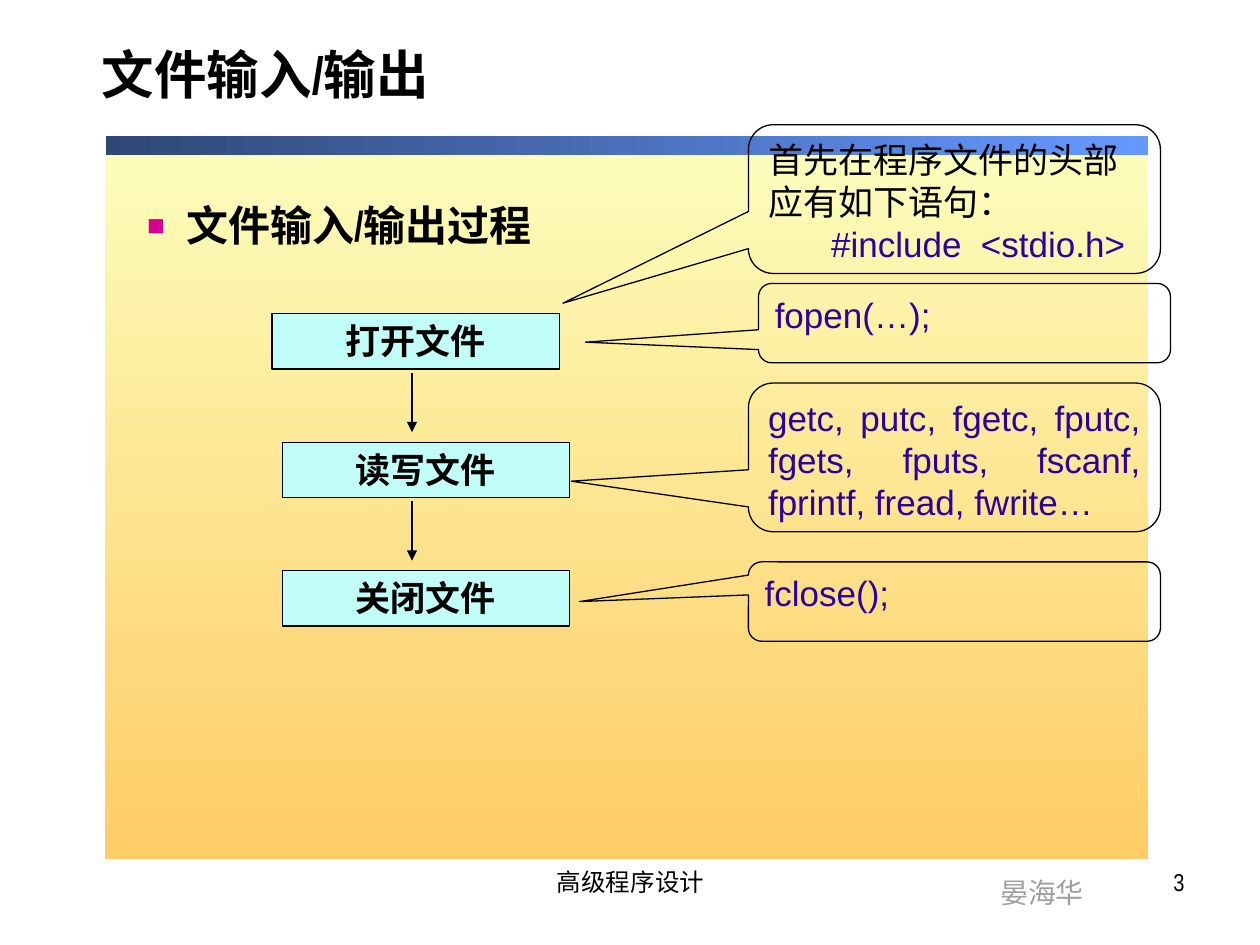
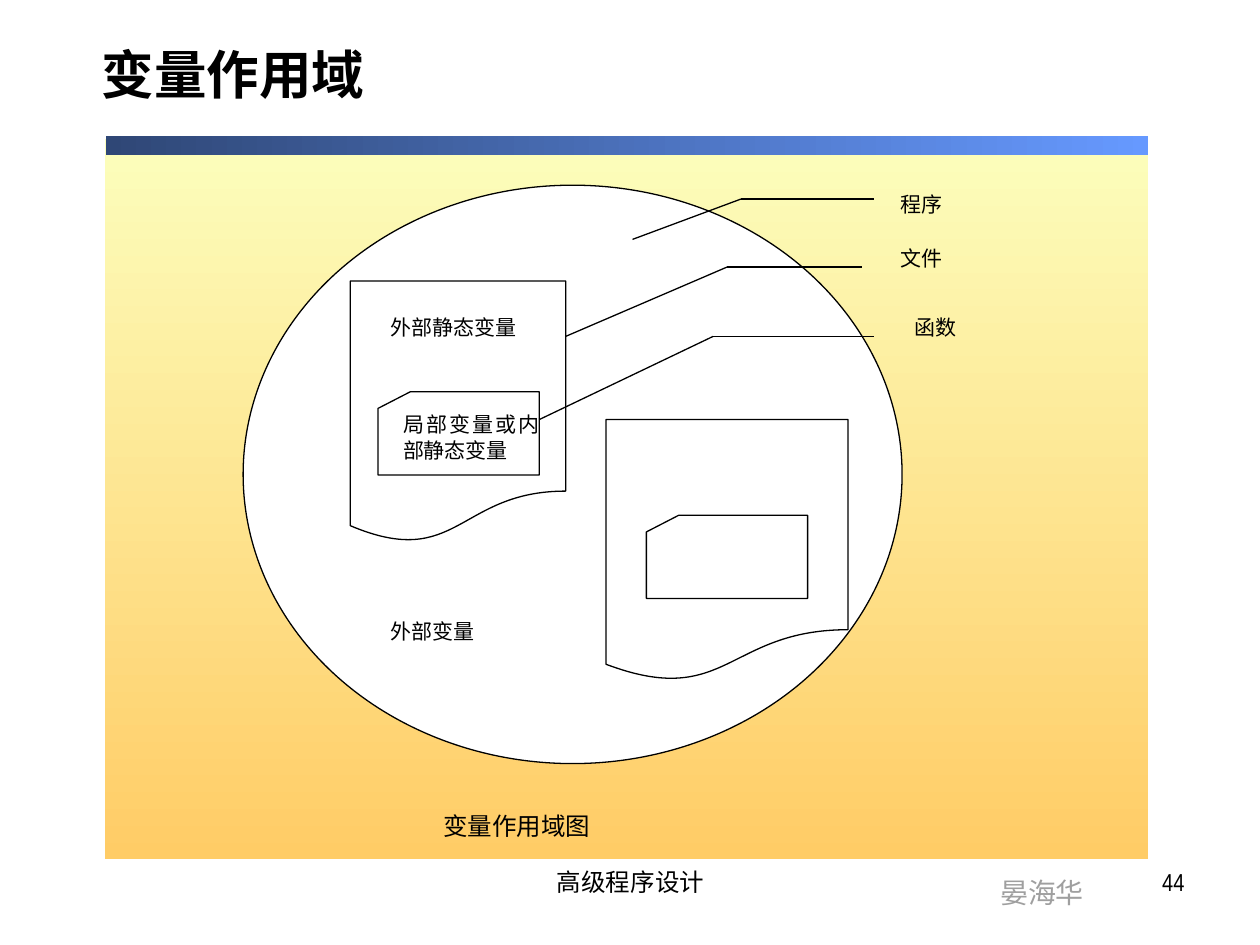
from dataclasses import dataclass

import lxml.etree
import pptx
import pptx.dml.color
import pptx.dml.fill
import pptx.enum.shapes
import pptx.enum.text
import pptx.oxml.ns
import pptx.shapes.autoshape
import pptx.slide
import pptx.text.text
import pptx.util

Inches = pptx.util.Inches
RGBColor = pptx.dml.color.RGBColor
Align = pptx.enum.text.PP_ALIGN
Anchor = pptx.enum.text.MSO_ANCHOR
Preset = pptx.enum.shapes.MSO_SHAPE
qn = pptx.oxml.ns.qn

BLACK = RGBColor(0x00, 0x00, 0x00)
WHITE = RGBColor(0xFF, 0xFF, 0xFF)
GRAY = RGBColor(0x9F, 0x9F, 0x9F)
CODE_BLUE = RGBColor(0x2B, 0x02, 0xA0)
STEP_CYAN = RGBColor(0xC1, 0xFE, 0xF9)
BULLET_PINK = RGBColor(0xD6, 0x00, 0x93)
PANEL_TOP = RGBColor(0xFC, 0xFE, 0xBC)
PANEL_BOTTOM = RGBColor(0xFF, 0xCC, 0x66)
BAND_LEFT = RGBColor(0x2F, 0x47, 0x76)
BAND_RIGHT = RGBColor(0x66, 0x99, 0xFF)

OUTLINE = pptx.util.Pt(0.75)


@dataclass(frozen=True)
class Box:
    left: float
    top: float
    width: float
    height: float


@dataclass(frozen=True)
class Style:
    size: float
    font: str
    color: RGBColor = BLACK
    bold: bool = False
    align: Align = Align.LEFT


@dataclass(frozen=True)
class Callout:
    box: Box
    tip_x: float
    tip_y: float
    lines: tuple[str, ...]
    styles: tuple[Style, ...]


@dataclass(frozen=True)
class Outline:
    preset: Preset
    box: Box


@dataclass(frozen=True)
class Label:
    box: Box
    text: str


@dataclass(frozen=True)
class Leader:
    start: tuple[float, float]
    elbow: tuple[float, float]
    end_x: float


TITLE = Style(30, "Arial Narrow", bold=True)
TOPIC = Style(24, "Arial Narrow", bold=True)
COURSE = Style(14, "Arial Narrow", align=Align.CENTER)
PAGE = Style(14, "Arial Narrow", align=Align.RIGHT)
LECTURER = Style(16, "Arial", GRAY)
STEP = Style(20, "Arial", bold=True, align=Align.CENTER)
REMARK = Style(20, "Arial")
CODE = Style(20, "Arial", CODE_BLUE)
CODE_LIST = Style(20, "Arial", CODE_BLUE, align=Align.JUSTIFY)
SCOPE = Style(12, "Times New Roman", align=Align.JUSTIFY)
CAPTION = Style(14, "Times New Roman", align=Align.JUSTIFY)

STEPS = ((2.16, "打开文件"), (2.24, "读写文件"), (2.24, "关闭文件"))
STEP_TOP, STEP_PITCH = 2.49, 1.02
STEP_WIDTH, STEP_HEIGHT = 2.28, 0.44
ARROW_X, ARROW_GAP, ARROW_LENGTH = 3.27, 0.03, 0.47

CALLOUTS = (
    Callout(Box(5.94, 0.99, 3.27, 1.18), -0.95, 0.7,
            ("首先在程序文件的头部应有如下语句：", "#include  <stdio.h>"), (REMARK, CODE)),
    Callout(Box(6.02, 2.25, 3.27, 0.63), -0.92, 0.24, ("fopen(…);",), (CODE,)),
    Callout(Box(5.94, 3.04, 3.27, 1.18), -0.93, 0.16,
            ("getc, putc, fgetc, fputc, fgets, fputs, fscanf, fprintf, fread, fwrite…",),
            (CODE_LIST,)),
    Callout(Box(5.94, 4.46, 3.27, 0.63), -0.91, 0, ("fclose();",), (CODE,)),
)

SCOPE_OUTLINES = (
    Outline(Preset.OVAL, Box(1.93, 1.47, 5.23, 4.59)),
    Outline(Preset.FLOWCHART_DOCUMENT, Box(2.78, 2.23, 1.71, 2.08)),
    Outline(Preset.FLOWCHART_DOCUMENT, Box(4.81, 3.33, 1.92, 2.08)),
    Outline(Preset.FLOWCHART_CARD, Box(5.13, 4.09, 1.28, 0.66)),
    Outline(Preset.FLOWCHART_CARD, Box(3, 3.11, 1.28, 0.66)),
)

SCOPE_LABELS = (
    Label(Box(3, 4.86, 1.17, 0.33), "外部变量"),
    Label(Box(3, 2.45, 1.28, 0.33), "外部静态变量"),
    Label(Box(3.1, 3.22, 1.28, 0.55), "局部变量或内部静态变量"),
    Label(Box(7.05, 1.47, 0.96, 0.33), "程序"),
    Label(Box(7.05, 1.9, 0.96, 0.33), "文件"),
    Label(Box(7.16, 2.45, 0.96, 0.33), "函数"),
)

LEADERS = (
    Leader((5.02, 1.9), (5.88, 1.58), 6.94),
    Leader((4.49, 2.67), (5.77, 2.12), 6.84),
    Leader((4.28, 3.33), (5.66, 2.67), 6.94),
)


def place(box: Box) -> tuple[pptx.util.Length, ...]:
    return Inches(box.left), Inches(box.top), Inches(box.width), Inches(box.height)


def format_paragraph(paragraph: pptx.text.text._Paragraph, style: Style) -> None:
    paragraph.alignment = style.align
    for run in paragraph.runs:
        run.font.size = pptx.util.Pt(style.size)
        run.font.name = style.font
        run.font.bold = style.bold
        run.font.color.rgb = style.color


def add_text(slide: pptx.slide.Slide, box: Box, text: str, style: Style,
             wrap: bool = True) -> pptx.text.text.TextFrame:
    frame = slide.shapes.add_textbox(*place(box)).text_frame
    frame.word_wrap = wrap
    frame.text = text
    format_paragraph(frame.paragraphs[0], style)
    return frame


def add_outline(slide: pptx.slide.Slide, preset: Preset, box: Box,
                fill: RGBColor | None) -> pptx.shapes.autoshape.Shape:
    shape = slide.shapes.add_shape(preset, *place(box))
    shape.shadow.inherit = False
    if fill is None:
        shape.fill.background()
    else:
        shape.fill.solid()
        shape.fill.fore_color.rgb = fill
    shape.line.color.rgb = BLACK
    shape.line.width = OUTLINE
    shape.text_frame.vertical_anchor = Anchor.TOP
    return shape


def add_gradient(slide: pptx.slide.Slide, box: Box, first: RGBColor, last: RGBColor,
                 angle: float) -> None:
    shape = slide.shapes.add_shape(Preset.RECTANGLE, *place(box))
    shape.shadow.inherit = False
    shape.line.fill.background()
    shape.fill.gradient()
    shape.fill.gradient_angle = angle
    for stop, color, position in zip(shape.fill.gradient_stops, (first, last), (0, 1)):
        stop.color.rgb = color
        stop.position = position


def add_line(slide: pptx.slide.Slide, start: tuple[float, float], end: tuple[float, float],
             arrow: bool = False) -> None:
    line = slide.shapes.add_connector(
        pptx.enum.shapes.MSO_CONNECTOR.STRAIGHT,
        *(Inches(value) for value in (*start, *end)))
    line.line.color.rgb = BLACK
    line.line.width = OUTLINE
    properties = line._element.spPr
    if arrow:
        lxml.etree.SubElement(properties.find(qn("a:ln")), qn("a:tailEnd"), type="triangle")
    lxml.etree.SubElement(properties, qn("a:effectLst"))


def add_bullet(paragraph: pptx.text.text._Paragraph) -> None:
    properties = paragraph._p.get_or_add_pPr()
    properties.set("marL", str(Inches(0.31)))
    properties.set("indent", str(Inches(-0.31)))
    color = lxml.etree.SubElement(properties, qn("a:buClr"))
    lxml.etree.SubElement(color, qn("a:srgbClr"), val=str(BULLET_PINK))
    lxml.etree.SubElement(properties, qn("a:buSzPct"), val="70000")
    lxml.etree.SubElement(properties, qn("a:buFont"), typeface="Arial")
    lxml.etree.SubElement(properties, qn("a:buChar"), char="■")


def add_callout(slide: pptx.slide.Slide, callout: Callout) -> None:
    shape = add_outline(slide, Preset.ROUNDED_RECTANGULAR_CALLOUT, callout.box, None)
    shape.adjustments[0] = callout.tip_x
    shape.adjustments[1] = callout.tip_y
    shape.text_frame.text = "\n".join(callout.lines)
    for paragraph, style in zip(shape.text_frame.paragraphs, callout.styles):
        format_paragraph(paragraph, style)
    for paragraph in shape.text_frame.paragraphs[1:]:
        paragraph.level = 1
        paragraph._p.get_or_add_pPr().set("marL", str(Inches(0.5)))


def add_framed_slide(deck, title: str, page: int) -> pptx.slide.Slide:
    slide = deck.slides.add_slide(deck.slide_layouts[6])
    slide.background.fill.solid()
    slide.background.fill.fore_color.rgb = WHITE
    add_gradient(slide, Box(0.83, 1.1, 8.28, 5.72), PANEL_TOP, PANEL_BOTTOM, 270)
    add_gradient(slide, Box(0.84, 1.08, 8.27, 0.15), BAND_LEFT, BAND_RIGHT, 0)
    add_text(slide, Box(7.84, 6.9, 0.87, 0.37), "晏海华", LECTURER, wrap=False)
    add_text(slide, Box(3.42, 6.83, 3.17, 0.52), "高级程序设计", COURSE)
    add_text(slide, Box(7.17, 6.83, 2.33, 0.52), str(page), PAGE)
    heading = add_text(slide, Box(0.71, 0.17, 8.96, 0.92), title, TITLE)
    heading.vertical_anchor = Anchor.MIDDLE
    heading.paragraphs[0].line_spacing = 0.8
    return slide


def build_file_slide(deck) -> None:
    slide = add_framed_slide(deck, "文件输入/输出", 3)
    topic = add_text(slide, Box(1.07, 1.58, 7.77, 4.98), "文件输入/输出过程", TOPIC)
    add_bullet(topic.paragraphs[0])
    topic.paragraphs[0].line_spacing = 0.9
    for index, (left, text) in enumerate(STEPS):
        top = STEP_TOP + index * STEP_PITCH
        step = add_outline(slide, Preset.RECTANGLE,
                           Box(left, top, STEP_WIDTH, STEP_HEIGHT), STEP_CYAN)
        step.text_frame.text = text
        format_paragraph(step.text_frame.paragraphs[0], STEP)
        if index < len(STEPS) - 1:
            arrow_top = top + STEP_HEIGHT + ARROW_GAP
            add_line(slide, (ARROW_X, arrow_top), (ARROW_X, arrow_top + ARROW_LENGTH), arrow=True)
    for callout in CALLOUTS:
        add_callout(slide, callout)


def build_scope_slide(deck) -> None:
    slide = add_framed_slide(deck, "变量作用域", 44)
    for outline in SCOPE_OUTLINES:
        add_outline(slide, outline.preset, outline.box, WHITE)
    for leader in LEADERS:
        add_line(slide, leader.start, leader.elbow)
        add_line(slide, leader.elbow, (leader.end_x, leader.elbow[1]))
    for label in SCOPE_LABELS:
        add_text(slide, label.box, label.text, SCOPE)
    add_text(slide, Box(3.42, 6.39, 2.03, 0.33), "变量作用域图", CAPTION)


def main() -> None:
    deck = pptx.Presentation()
    deck.slide_width = Inches(10)
    deck.slide_height = Inches(7.5)
    build_file_slide(deck)
    build_scope_slide(deck)
    deck.save("out.pptx")


if __name__ == "__main__":
    main()
